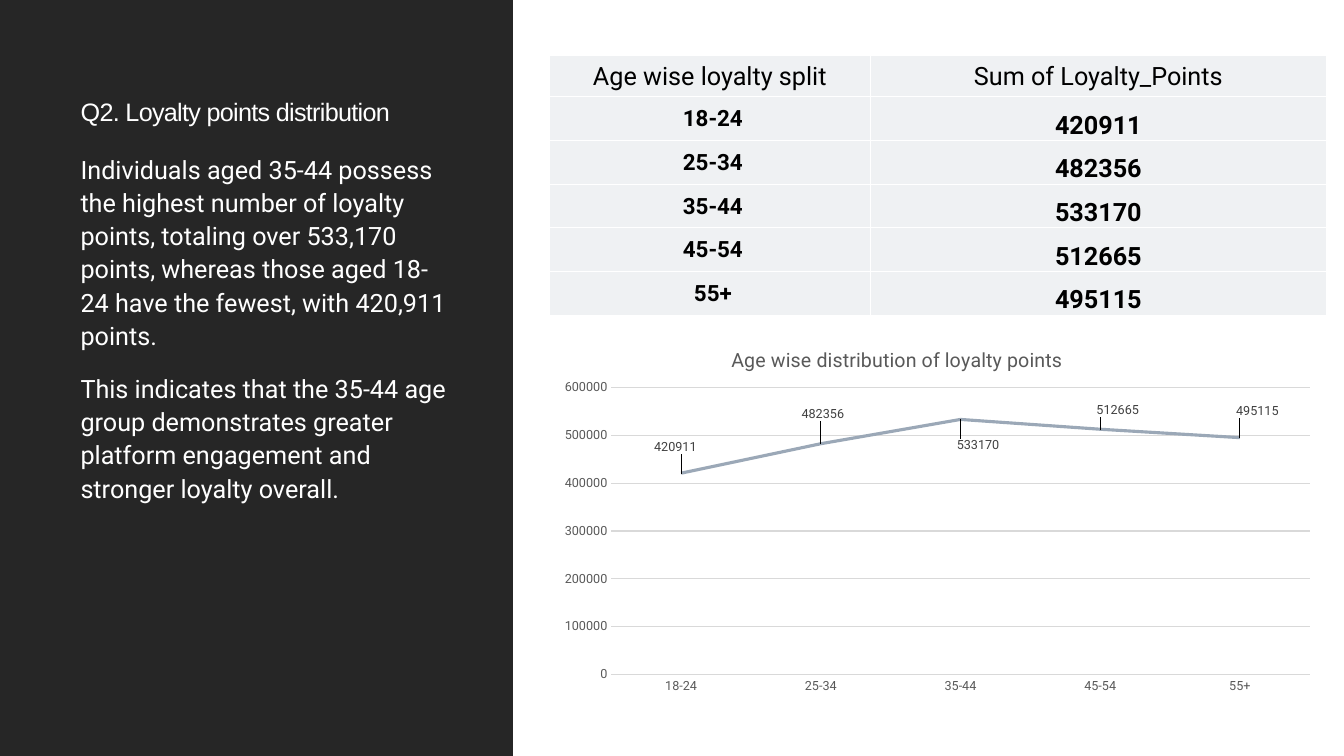
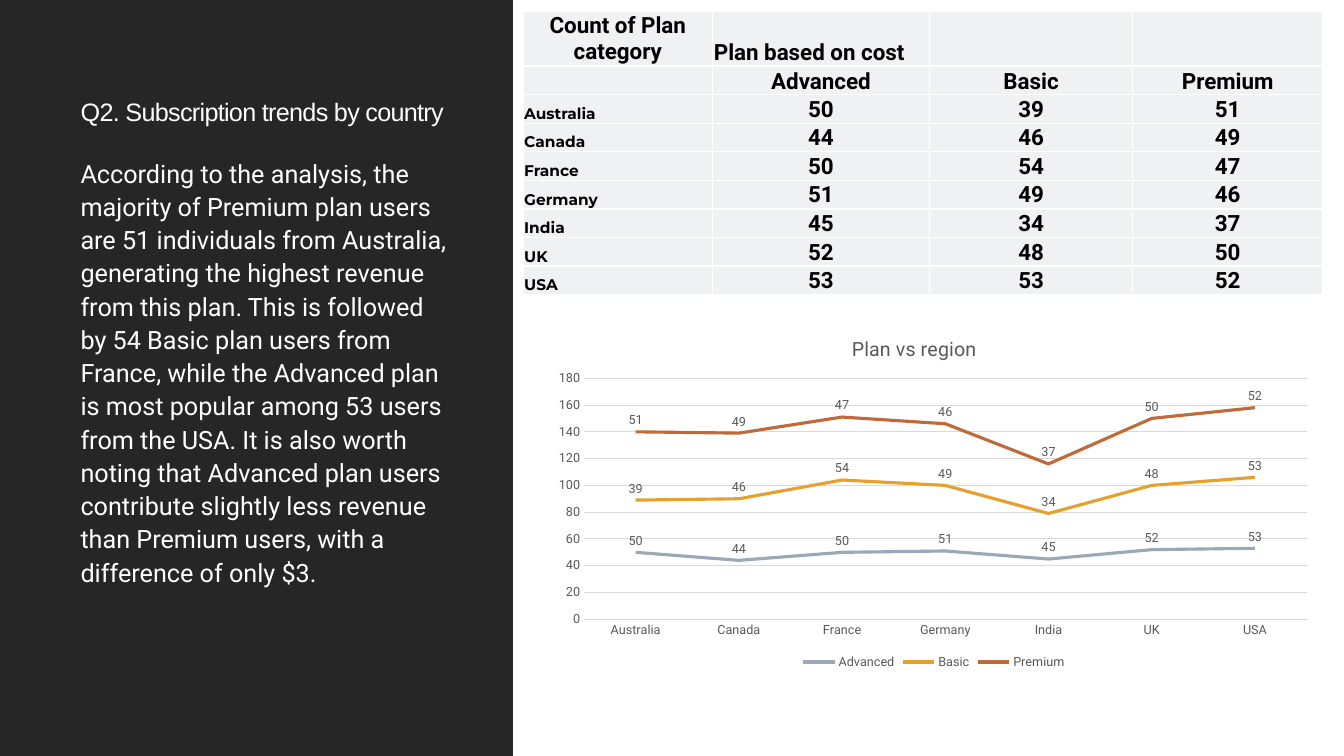
from dataclasses import dataclass

from lxml import etree
from pptx import Presentation
from pptx.chart.data import CategoryChartData
from pptx.dml.color import RGBColor
from pptx.enum.chart import (
    XL_CHART_TYPE as Chart,
    XL_LABEL_POSITION as LabelPos,
    XL_LEGEND_POSITION as LegendPos,
    XL_TICK_MARK as Tick,
)
from pptx.enum.shapes import MSO_SHAPE as Shape
from pptx.enum.text import MSO_ANCHOR as Anchor, MSO_AUTO_SIZE as AutoSize, PP_ALIGN as Align
from pptx.oxml.ns import qn
from pptx.util import Cm, Pt

COLORS = {
    "band": "262626",
    "white": "FFFFFF",
    "black": "000000",
    "cell": "EFF1F3",
    "axis_text": "595959",
    "label_text": "404040",
    "grid": "D9D9D9",
}
SERIES_COLORS = ["9BA8B7", "E6A02E", "BF6A3B"]
FONT, TITLE_FONT, COUNTRY_FONT = "Roboto", "Arial", "Montserrat"
TEXT_LEFT, TEXT_WIDTH = 1.78, 9.78


@dataclass
class CellStyle:
    size: int = 16
    bold: bool = True
    font: str = FONT
    align: Align = Align.CENTER
    anchor: Anchor = Anchor.MIDDLE
    left: float = 0.03


HEADER = CellStyle(size=18, bold=False)
AGE = CellStyle(left=0.18)
POINTS = CellStyle(size=18, anchor=Anchor.BOTTOM)
COUNT = CellStyle()
PLAN = CellStyle(anchor=Anchor.BOTTOM)
PLAN_GROUP = CellStyle(align=Align.LEFT, anchor=Anchor.BOTTOM)
COUNTRY = CellStyle(size=11, font=COUNTRY_FONT, align=Align.LEFT, anchor=Anchor.BOTTOM)


def rgb(name):
    return RGBColor.from_string(COLORS.get(name, name))


def style_font(font, size, color, name=FONT, bold=False):
    font.size, font.name, font.bold = Pt(size), name, bold
    font.color.rgb = rgb(color)


def style_line(line, color, width):
    line.color.rgb = rgb(color)
    line.width = Pt(width)


def add_layout_band(prs, slide, layout):
    """Draw the dark side band and move it to the layout, so every slide shows it."""
    band = slide.shapes.add_shape(Shape.RECTANGLE, 0, 0, Cm(12.93), prs.slide_height)
    band.shadow.inherit = False
    band.fill.solid()
    band.fill.fore_color.rgb = rgb("band")
    band.line.fill.background()
    layout.shapes.element.append(band.element)


def set_title(slide, text):
    title = slide.shapes.title
    title.left, title.top = Cm(TEXT_LEFT), Cm(2.18)
    title.width, title.height = Cm(TEXT_WIDTH), Cm(1.14)
    tf = title.text_frame
    tf.text = text
    tf.word_wrap, tf.auto_size = True, AutoSize.NONE
    tf.vertical_anchor = Anchor.BOTTOM
    p = tf.paragraphs[0]
    p.alignment, p.line_spacing = Align.LEFT, 0.9
    r = p.runs[0]
    style_font(r.font, 18, "white", TITLE_FONT)
    r.font.element.set("spc", "-50") if hasattr(r.font, "element") else r._r.get_or_add_rPr().set("spc", "-50")


def add_body(slide, top, paragraphs):
    box = slide.shapes.add_textbox(Cm(TEXT_LEFT), Cm(top), Cm(TEXT_WIDTH), Cm(13.18))
    tf = box.text_frame
    tf.word_wrap = True
    tf.text = "\n".join(paragraphs)
    for p in tf.paragraphs:
        p.line_spacing = 1.1
        p.space_before, p.space_after = Pt(12), Pt(2)
        style_font(p.runs[0].font, 18, "white")


def add_cell_borders(cell):
    tc_pr = cell._tc.get_or_add_tcPr()
    for side in ("a:lnL", "a:lnR", "a:lnT", "a:lnB"):
        ln = etree.SubElement(tc_pr, qn(side), w=str(Pt(1)))
        fill = etree.SubElement(ln, qn("a:solidFill"))
        etree.SubElement(fill, qn("a:srgbClr"), val=COLORS["white"])


def fill_cell(cell, text, style):
    add_cell_borders(cell)
    cell.fill.solid()
    cell.fill.fore_color.rgb = rgb("cell")
    cell.margin_left, cell.margin_right = Cm(style.left), Cm(0.03)
    cell.margin_top, cell.margin_bottom = Cm(0.03), 0
    cell.vertical_anchor = style.anchor
    cell.text = text
    p = cell.text_frame.paragraphs[0]
    p.alignment = style.align
    for r in p.runs:
        style_font(r.font, style.size, "black", style.font, style.bold)
    if not text:  # keeps an empty cell from stretching its row
        etree.SubElement(p._p, qn("a:endParaRPr"), sz=str(style.size * 100))


def add_table(slide, left, top, widths, heights, rows):
    """Each row is a list of (text, CellStyle) pairs."""
    table = slide.shapes.add_table(
        len(rows), len(widths), Cm(left), Cm(top), Cm(sum(widths)), Cm(sum(heights))
    ).table
    table.first_row = table.horz_banding = False
    for column, width in zip(table.columns, widths):
        column.width = Cm(width)
    for i, (height, row) in enumerate(zip(heights, rows)):
        table.rows[i].height = Cm(height)
        for j, (text, style) in enumerate(row):
            fill_cell(table.cell(i, j), text, style)


def set_layout(layout, x, y, w=None, h=None):
    """Fill a chart layout element with fractions; w and h mark the inner plot area."""
    manual = etree.SubElement(layout, qn("c:manualLayout"))
    values = {"x": x, "y": y}
    if w:
        etree.SubElement(manual, qn("c:layoutTarget"), val="inner")
        values.update(w=w, h=h)
        modes = {"xMode": "edge", "yMode": "edge"}
    else:
        modes = {}
    for tag, value in (modes | values).items():
        etree.SubElement(manual, qn(f"c:{tag}"), val=str(value))


def get_layout(parent, before):
    """Return the parent's layout element, adding it after child number `before`."""
    layout = parent.find(qn("c:layout"))
    if layout is None:
        layout = etree.Element(qn("c:layout"))
        parent.insert(before, layout)
    return layout


def set_chart_title(chart, text, x, y):
    chart.has_title = True
    title = chart.chart_title
    title.include_in_layout = False
    title.text_frame.text = text
    style_font(title.text_frame.paragraphs[0].runs[0].font, 14, "axis_text")
    layout = get_layout(title._element, 1)
    set_layout(layout, x, y)
    for tag in ("yMode", "xMode"):
        mode = etree.Element(qn(f"c:{tag}"), val="edge")
        layout[0].insert(0, mode)


def style_axes(chart, maximum, unit):
    for axis in (chart.category_axis, chart.value_axis):
        axis.major_tick_mark = axis.minor_tick_mark = Tick.NONE
        style_font(axis.tick_labels.font, 9, "axis_text")
    style_line(chart.category_axis.format.line, "grid", 0.75)
    value_axis = chart.value_axis
    value_axis.minimum_scale, value_axis.maximum_scale = 0, maximum
    value_axis.major_unit = unit
    value_axis.format.line.fill.background()
    style_line(value_axis.major_gridlines.format.line, "grid", 0.75)


def add_line_chart(slide, kind, box, cats, series, title, plot_layout, scale):
    data = CategoryChartData()
    data.categories = cats
    for name, values in series.items():
        data.add_series(name, values)
    chart = slide.shapes.add_chart(kind, *map(Cm, box), data).chart
    style_font(chart.font, 10, "black")
    chart.has_legend = len(series) > 1
    if chart.has_legend:
        chart.legend.position = LegendPos.BOTTOM
        chart.legend.include_in_layout = False
        style_font(chart.legend.font, 9, "axis_text")
    set_chart_title(chart, *title)
    style_axes(chart, *scale)
    set_layout(get_layout(chart.plots[0]._element.getparent(), 0), *plot_layout)
    chart.plots[0].vary_by_categories = False
    for ser, color in zip(chart.series, SERIES_COLORS):
        ser.smooth = False
        style_line(ser.format.line, color, 2.25)
    return chart


def label_above(chart):
    for ser in chart.series:
        labels = ser.data_labels
        labels.show_value, labels.position = True, LabelPos.ABOVE
        style_font(labels.font, 9, "axis_text")


def label_with_offsets(ser, offsets):
    """Place each label beside its point, shifted by fractions of the chart size."""
    ser.data_labels.show_value = True
    style_font(ser.data_labels.font, 9, "label_text")
    for i, (dx, dy) in enumerate(offsets):
        label = ser.points[i].data_label
        style_font(label.font, 9, "label_text")
        label.position = LabelPos.RIGHT
        d_lbl = ser.data_labels._element.findall(qn("c:dLbl"))[i]
        set_layout(get_layout(d_lbl, 1), dx, dy)


def build_loyalty(slide):
    set_title(slide, "Q2. Loyalty points distribution")
    add_body(slide, 3.68, [
        "Individuals aged 35-44 possess the highest number of loyalty points, totaling over "
        "533,170 points, whereas those aged 18-24 have the fewest, with 420,911 points.",
        "This indicates that the 35-44 age group demonstrates greater platform engagement "
        "and stronger loyalty overall.",
    ])
    points = {"18-24": 420911, "25-34": 482356, "35-44": 533170, "45-54": 512665, "55+": 495115}
    rows = [[("Age wise loyalty split", HEADER), ("Sum of Loyalty_Points", HEADER)]]
    rows += [[(age, AGE), (str(total), POINTS)] for age, total in points.items()]
    add_table(slide, 13.84, 1.4, [8.1, 11.48], [1.04] + [1.1] * len(points), rows)
    chart = add_line_chart(
        slide, Chart.LINE, (13.84, 8.26, 19.56, 9.4), list(points),
        {"Series 1": list(points.values())},
        ("Age wise distribution of loyalty points", 0.23, 0.04),
        (0.08, 0.16, 0.9, 0.77), (600000, 100000),
    )
    label_with_offsets(chart.series[0], [
        (-0.04, -0.07), (-0.03, -0.08), (-0.01, 0.07), (-0.01, -0.05), (-0.01, -0.07),
    ])


def build_subscriptions(slide):
    set_title(slide, "Q2. Subscription trends by country")
    add_body(slide, 3.78, [
        "According to the analysis, the majority of Premium plan users are 51 individuals from "
        "Australia, generating the highest revenue from this plan. This is followed by 54 Basic "
        "plan users from France, while the Advanced plan is most popular among 53 users from the "
        "USA. It is also worth noting that Advanced plan users contribute slightly less revenue "
        "than Premium users, with a difference of only $3.",
    ])
    countries = ["Australia", "Canada", "France", "Germany", "India", "UK", "USA"]
    plans = {
        "Advanced": [50, 44, 50, 51, 45, 52, 53],
        "Basic": [39, 46, 54, 49, 34, 48, 53],
        "Premium": [51, 49, 47, 46, 37, 50, 52],
    }
    rows = [
        [("Count of Plan category", COUNT), ("Plan based on cost", PLAN_GROUP), ("", PLAN), ("", PLAN)],
        [("", PLAN)] + [(plan, PLAN) for plan in plans],
    ]
    for country, *counts in zip(countries, *plans.values()):
        rows.append([(country, COUNTRY)] + [(str(n), COUNT) for n in counts])
    add_table(slide, 13.18, 0.28, [4.78, 5.46, 5.13, 4.78], [1.32] + [0.72] * (len(rows) - 1), rows)
    chart = add_line_chart(
        slide, Chart.LINE_STACKED, (13.74, 7.9, 19.58, 9.07), countries, plans,
        ("Plan vs region", 0.39, 0.05), (0.05, 0.18, 0.93, 0.67), (180, 20),
    )
    label_above(chart)


def main():
    prs = Presentation()
    prs.slide_width, prs.slide_height = Cm(33.87), Cm(19.05)
    layout = prs.slide_layouts.get_by_name("Title Only")
    slides = [prs.slides.add_slide(layout) for _ in range(2)]
    add_layout_band(prs, slides[0], layout)
    for build, slide in zip((build_loyalty, build_subscriptions), slides):
        build(slide)
    prs.save("out.pptx")


if __name__ == "__main__":
    main()
